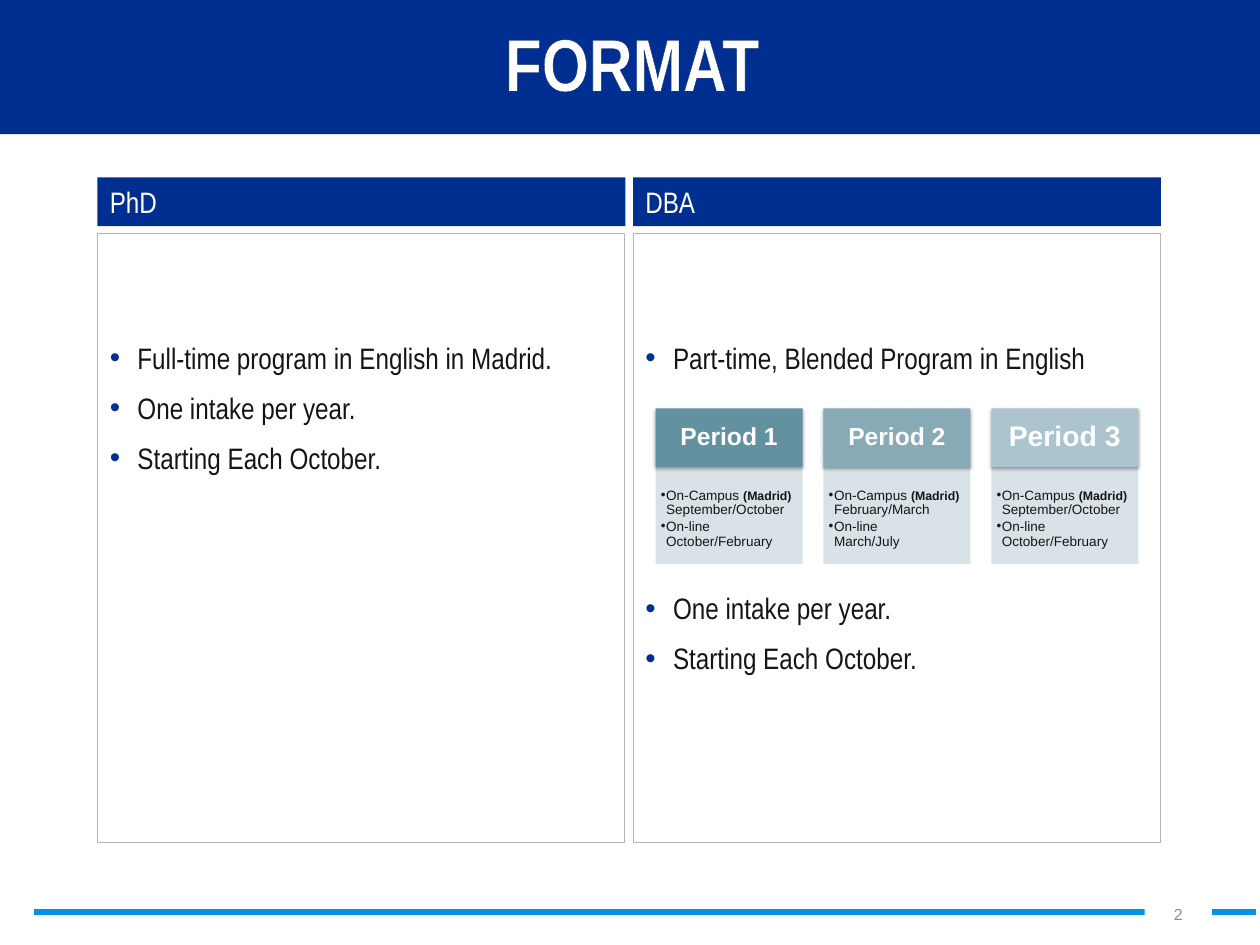
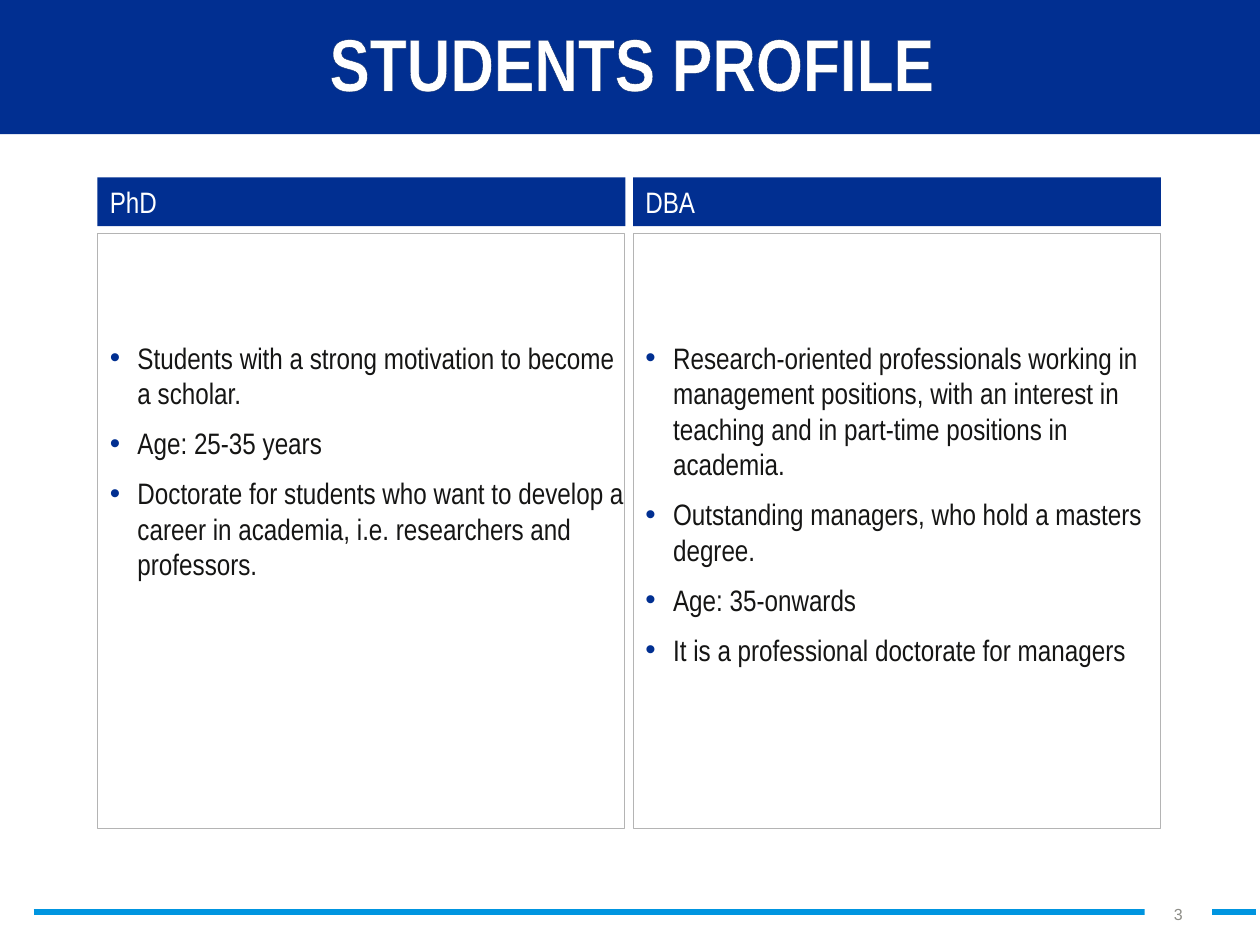
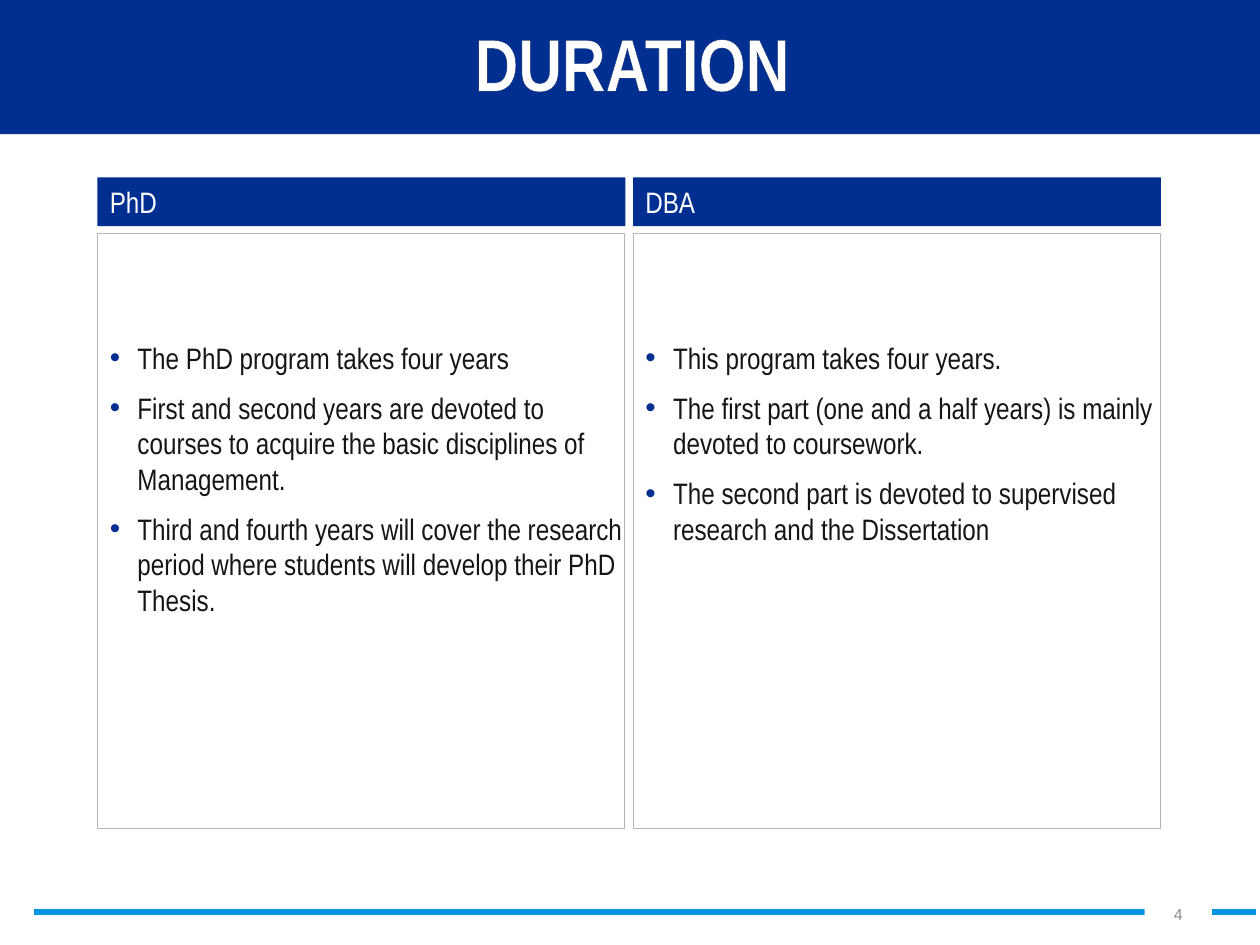
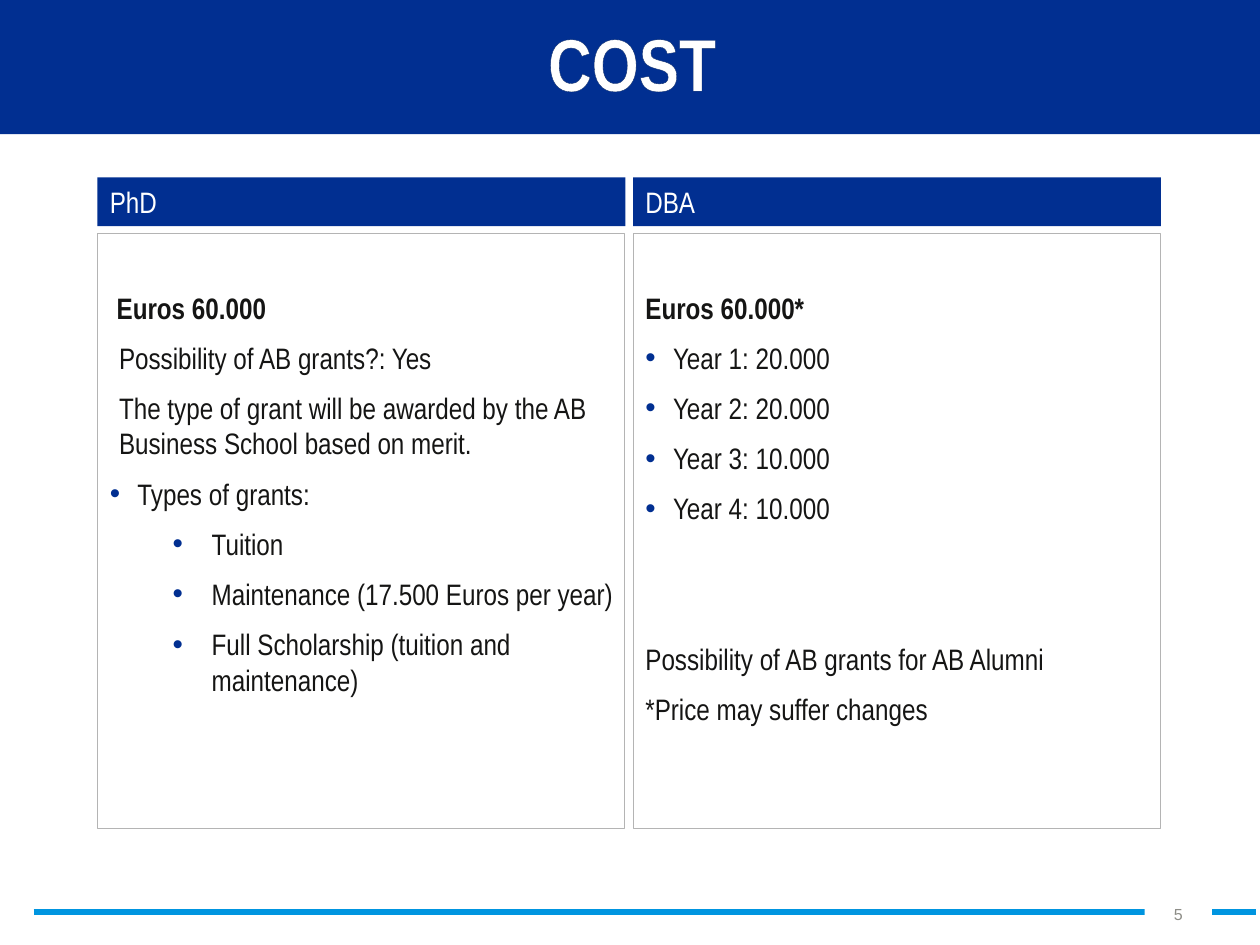
from lxml.etree import SubElement as Sub, Element as Elem
from pptx import Presentation
from pptx.dml.color import RGBColor as RGB
from pptx.enum.shapes import MSO_CONNECTOR as LINK, MSO_SHAPE as SHAPE
from pptx.enum.text import MSO_ANCHOR as ANCHOR, MSO_AUTO_SIZE as AUTO, PP_ALIGN as ALIGN
from pptx.oxml.ns import qn
from pptx.util import Pt

HUES = {
    "blue": "012F91", "navy": "002060", "sky": "0095E0", "white": "FFFFFF",
    "ink": "151514", "rule": "B4B4B4", "gray": "8D8D87", "black": "000000",
    "teal1": "6491A0", "teal2": "88AAB6", "teal3": "ACC4CD", "mist": "D5DFE4",
}
NARROW, SANS = "Arial Narrow", "Arial"
ROW, GAP = 40.7, 12  # pitch of a one-line item, space above an item

# Item styles: left margin, first-line indent, bullet, level, bold
STYLES = {
    "dot": (22.5, -22.5, True, 0, False),
    "sub": (82.8, -31.7, True, 1, False),
    "plain": (0, 0, False, 0, False),
    "inset": (7.5, 0, False, 1, False),
    "price": (0, 0, False, 0, True),
    "shift": (5.6, 0, False, 0, True),
}


def hue(name):
    return RGB.from_string(HUES[name])


def tint(parent, name, alpha=None):
    """Add a colour element, with an opacity in percent if given."""
    node = Sub(parent, qn("a:srgbClr"), val=HUES[name])
    if alpha:
        Sub(node, qn("a:alpha"), val=str(alpha * 1000))


class Deck:
    def __init__(self):
        self.prs = Presentation()
        self.prs.slide_width, self.prs.slide_height = Pt(1024), Pt(768)
        self.plan = self.prs.slide_layouts.get_by_name("Comparison")
        self.page = None

    # Shared parts
    def open(self, title, number):
        first = self.page is None
        self.page = self.prs.slides.add_slide(self.plan)
        if first:
            self.dress()
        self.title(title)
        box = self.rect((930.2, 731.5, 54.7, 34.6), "white")
        self.setup(box.text_frame, (7.2, 3.6, 7.2, 3.6))
        par = self.para(box.text_frame, align=ALIGN.CENTER)
        self.run(par, str(number), 13, "gray", SANS)

    def dress(self):
        """Put the title band and the footer line on the layout."""
        band = self.rect((-1, -1, 1026, 110), "blue")
        line = self.page.shapes.add_connector(
            LINK.STRAIGHT, Pt(27.4), Pt(741), Pt(1021), Pt(741))
        line.line.color.rgb, line.line.width = hue("sky"), Pt(5.25)
        Sub(line.element.spPr, qn("a:effectLst"))
        for num, part in enumerate((line, band), 101):
            part.element.xpath(".//p:cNvPr")[0].set("id", str(num))
            self.plan.shapes.element.insert(2, part.element)

    def title(self, text):
        head = self.page.shapes.title
        self.place(head, (67.7, -1.4, 892, 103))
        self.setup(head.text_frame, (10, 5, 10, 5), ANCHOR.MIDDLE)
        par = self.para(head.text_frame, align=ALIGN.CENTER)
        font = self.run(par, text, 60, "white", bold=True).font
        edge = Elem(qn("a:ln"), w=str(Pt(0.75)))
        tint(Sub(edge, qn("a:solidFill")), "navy")
        font._element.insert(0, edge)

    # Basic elements
    def place(self, shape, area):
        shape.left, shape.top, shape.width, shape.height = map(Pt, area)

    def rect(self, area, fill, alpha=None):
        shape = self.page.shapes.add_shape(SHAPE.RECTANGLE, *map(Pt, area))
        shape.shadow.inherit = False
        shape.line.fill.background()
        shape.fill.solid()
        shape.fill.fore_color.rgb = hue(fill)
        if alpha:
            node = shape.element.spPr.find(qn("a:solidFill"))
            node.clear()
            tint(node, fill, alpha)
        return shape

    def setup(self, frame, edges, anchor=ANCHOR.TOP):
        frame.word_wrap, frame.auto_size = True, AUTO.NONE
        frame.vertical_anchor = anchor
        (frame.margin_left, frame.margin_top,
         frame.margin_right, frame.margin_bottom) = map(Pt, edges)

    def para(self, frame, left=0, hang=0, dot=None, align=ALIGN.LEFT,
             before=0, after=0, line=1.0, level=0):
        par = frame.paragraphs[0]
        if par.runs:
            par = frame.add_paragraph()
        else:
            before = 0
        par.alignment, par.level, par.line_spacing = align, level, line
        par.space_before, par.space_after = Pt(before), Pt(after)
        props = par._p.get_or_add_pPr()
        props.set("marL", str(Pt(left)))
        props.set("indent", str(Pt(hang)))
        if dot:
            tint(Sub(props, qn("a:buClr")), dot)
            Sub(props, qn("a:buFont"), typeface=SANS)
            Sub(props, qn("a:buChar"), char="•")
        else:
            Sub(props, qn("a:buNone"))
        return par

    def run(self, par, text, size, color, face=NARROW, bold=False):
        run = par.add_run()
        run.text = text
        font = run.font
        font.size, font.name, font.bold = Pt(size), face, bold
        font.color.rgb = hue(color)
        return run

    # One programme: header bar and framed list
    def column(self, side, name, items, skip=2, height=484):
        left = 79.2 + side * 435.3
        bar, box = (self.page.placeholders[2 * side + k] for k in (1, 2))
        self.place(bar, (left, 144.2, 429, 39.6))
        bar.fill.solid()
        bar.fill.fore_color.rgb = hue("blue")
        self.setup(bar.text_frame, (10, 5, 0.7, 5))
        self.run(self.para(bar.text_frame), name, 24, "white")

        self.place(box, (left, 189.6, 428.4, height))
        box.line.color.rgb, box.line.width = hue("rule"), Pt(0.75)
        self.setup(box.text_frame, (10, 5 + skip * ROW, 0.7, 5))
        for style, text, *rows in items:
            left, hang, dot, level, bold = STYLES[style]
            par = self.para(box.text_frame, left, hang, dot and "blue",
                            before=GAP + sum(rows) * ROW, level=level)
            self.run(par, text, 24, "ink", bold=bold)

    # One period: heading with shadow and dates below
    def card(self, spot, fill, size, campus, online):
        left = 532.8 + spot * 136.4
        body = self.rect((left, 379.4, 119.5, 79.2), "mist", 90)
        self.setup(body.text_frame, (4.3, 17.7, 6, 7))
        for label, town, dates in (("On-Campus ", "(Madrid)", campus),
                                   ("On-line", "", online)):
            par = self.para(body.text_frame, 4.3, -4.3, "ink",
                            after=1.65, line=0.9)
            self.run(par, label, 11, "ink", SANS)
            if town:
                self.run(par, town, 10, "ink", SANS, True)
            par.add_line_break()
            self.run(par, dates, 11, "ink", SANS)

        head = self.rect((left, 331.9, 119.5, 47.5), fill)
        glow = Sub(head.element.spPr.find(qn("a:effectLst")),
                   qn("a:outerShdw"), blurRad=str(Pt(3.1)),
                   dist=str(Pt(1.8)), dir="5400000", rotWithShape="0")
        tint(glow, "black", 35)
        self.setup(head.text_frame, (6, 6, 6, 6), ANCHOR.MIDDLE)
        par = self.para(head.text_frame, align=ALIGN.CENTER, line=0.9)
        self.run(par, f"Period {spot + 1}", size, "white", SANS, True)


def dots(*texts):
    return [("dot", text) for text in texts]


def main():
    deck = Deck()

    # Format
    deck.open("FORMAT", 2)
    deck.column(0, "PhD", dots(
        "Full-time program in English in Madrid.",
        "One intake per year.",
        "Starting Each October."), height=495)
    deck.column(1, "DBA", [
        ("dot", "Part-time, Blended Program in English"),
        ("dot", "One intake per year.", 4),
        ("dot", "Starting Each October.")], height=495)
    fall, winter = "September/October", "October/February"
    for spot, card in enumerate((
            ("teal1", 20, fall, winter),
            ("teal2", 20, "February/March", "March/July"),
            ("teal3", 23, fall, winter))):
        deck.card(spot, *card)

    # Students
    deck.open("STUDENTS PROFILE", 3)
    deck.column(0, "PhD", dots(
        "Students with a strong motivation to become a scholar.",
        "Age: 25-35 years",
        "Doctorate for students who want to develop a career in academia, "
        "i.e. researchers and professors."))
    deck.column(1, "DBA", dots(
        "Research-oriented professionals working in management positions, "
        "with an interest in teaching and in part-time positions in academia.",
        "Outstanding managers, who hold a masters degree.",
        "Age: 35-onwards",
        "It is a professional doctorate for managers"))

    # Duration
    deck.open("DURATION", 4)
    deck.column(0, "PhD", dots(
        "The PhD program takes four years",
        "First and second years are devoted to courses to acquire the basic "
        "disciplines of Management.",
        "Third and fourth years will cover the research period where "
        "students will develop their PhD Thesis."))
    deck.column(1, "DBA", dots(
        "This program takes four years.",
        "The first part (one and a half years) is mainly devoted to "
        "coursework.",
        "The second part is devoted to supervised research and the "
        "Dissertation"))

    # Cost
    deck.open("COST", 5)
    deck.column(0, "PhD", [
        ("shift", "Euros 60.000"),
        ("inset", "Possibility of AB grants?: Yes"),
        ("inset", "The type of grant will be awarded by the AB Business "
                  "School based on merit."),
        ("dot", "Types of grants:"),
        ("sub", "Tuition"),
        ("sub", "Maintenance (17.500 Euros per year)"),
        ("sub", "Full Scholarship (tuition and maintenance)")], skip=1)
    fees = ("20.000", "20.000", "10.000", "10.000")
    deck.column(1, "DBA", [
        ("price", "Euros 60.000*"),
        *dots(*(f"Year {year}: {fee}" for year, fee in enumerate(fees, 1))),
        ("plain", "Possibility of AB grants for AB Alumni", 2),
        ("plain", "*Price may suffer changes")], skip=1)

    deck.prs.save("out.pptx")


if __name__ == "__main__":
    main()
